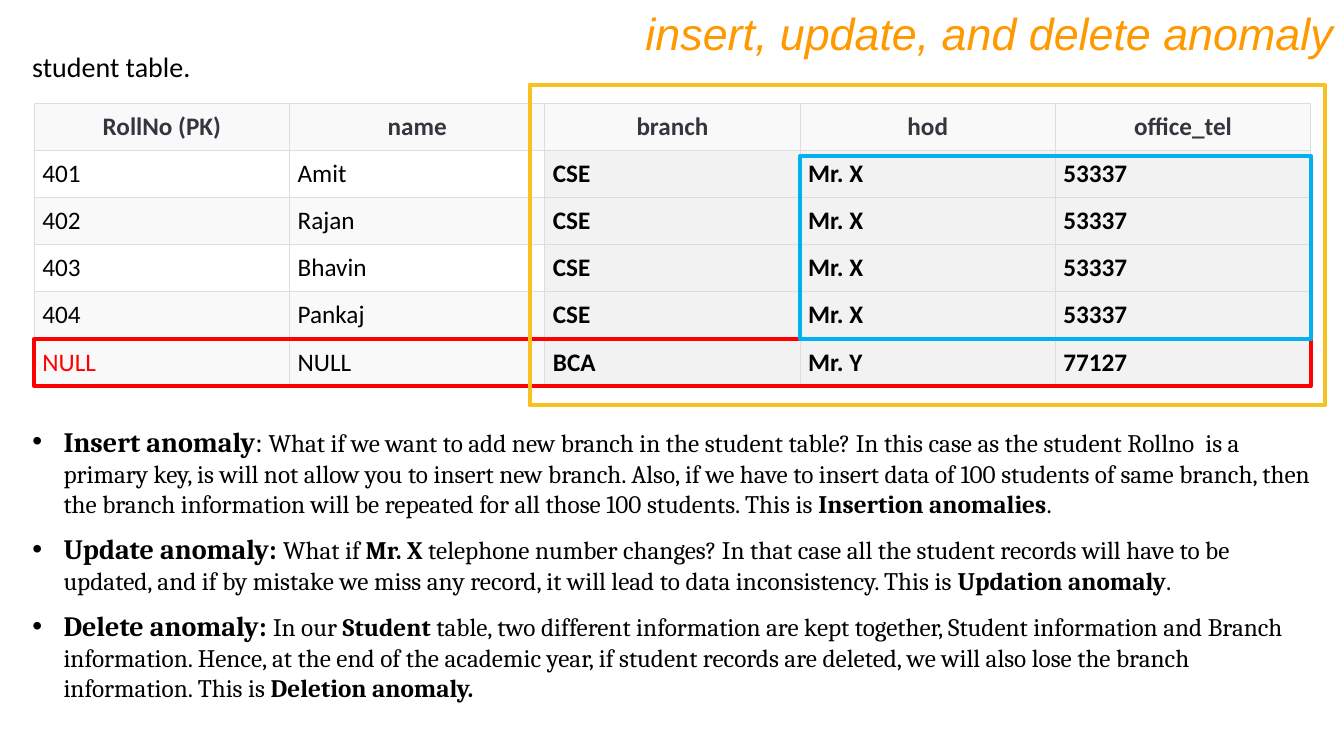
from pptx import Presentation
from pptx.dml.color import RGBColor
from pptx.enum.shapes import MSO_SHAPE as Shape
from pptx.enum.text import MSO_ANCHOR as Anchor, MSO_AUTO_SIZE as AutoSize, PP_ALIGN as Align
from pptx.oxml.ns import qn
from pptx.util import Inches, Pt
from lxml.etree import SubElement, Element

COLORS = {name: RGBColor.from_string(value) for name, value in {
    "title": "FF9900", "text": "000000", "header": "35353E", "paper": "FFFFFF",
    "band": "F9F9F9", "branch": "F2F2F2", "border": "DDDDDD",
    "null": "FF0000", "repeated": "00B0F0", "dependent": "F7C120"}.items()}


def set_font(font, name, size, color, bold=None):
    font.name = name
    if size:
        font.size = Pt(size)
    font.color.rgb = COLORS[color]
    font.bold = bold


def place(item, left, top, width, height):
    item.left, item.top = Inches(left), Inches(top)
    item.width, item.height = Inches(width), Inches(height)


deck = Presentation()
deck.slide_width, deck.slide_height = Inches(13.33), Inches(7.5)
slide = deck.slides.add_slide(deck.slide_layouts[1])

# Title
title = slide.shapes.title
place(title, 0, 0, 13.33, 0.64)
title.text_frame.text = "insert, update, and delete anomaly"
title.text_frame.auto_size = AutoSize.NONE
heading = title.text_frame.paragraphs[0]
heading.alignment = Align.RIGHT
set_font(heading.font, "Arial", 32, "title")
heading.font.italic = True

# Anomaly list: each item is a row of (text, size, bold)
anomalies = [
    [("Insert anomaly", 20, True), (": ", 20, False),
     ("What if we want to add new branch in the student table? In this case as the student "
      "Rollno  is a primary key, is will not allow you to insert new branch. Also, if we have "
      "to insert data of 100 students of same branch, then the branch information will be "
      "repeated for all those 100 students. This is ", 18, False),
     ("Insertion anomalies", 18, True), (".", 18, False)],
    [("Update anomaly: ", 20, True), ("What if ", 18, False), ("Mr. X ", 18, True),
     ("telephone number changes? In that case all the student records will have to be updated, "
      "and if by mistake we miss any record, it will lead to data inconsistency. This is ",
      18, False),
     ("Updation anomaly", 18, True), (".", 18, False)],
    [("Delete anomaly: ", 20, True), ("In our ", 18, False), ("Student", 18, True),
     (" table, two different information are kept together, Student information and Branch "
      "information. Hence, at the end of the academic year, if student records are deleted, "
      "we will also lose the branch information. This is ", 18, False),
     ("Deletion anomaly.", 18, True)],
]
explanation = slide.placeholders[1]
place(explanation, 0.22, 4.16, 12.89, 2.89)
explanation.fill.solid()
explanation.fill.fore_color.rgb = COLORS["paper"]
frame = explanation.text_frame
frame.auto_size = AutoSize.NONE
frame.vertical_anchor = Anchor.TOP
for index, anomaly in enumerate(anomalies):
    item = frame.add_paragraph() if index else frame.paragraphs[0]
    item.space_before = Pt(9.4 if index else 0)
    properties = item._p.get_or_add_pPr()
    properties.set("marL", str(Inches(0.31)))
    properties.set("indent", str(-Inches(0.31)))
    SubElement(properties, qn("a:buFont"), typeface="Arial")
    SubElement(properties, qn("a:buChar"), char="•")
    set_font(item.font, "Cambria", None, "text")
    for text, size, bold in anomaly:
        run = item.add_run()
        run.text = text
        run.font.size, run.font.bold = Pt(size), bold

# Student table
students = [
    ("RollNo (PK)", "name", "branch", "hod", "office_tel"),
    ("401", "Amit", "CSE", "Mr. X", "53337"),
    ("402", "Rajan", "CSE", "Mr. X", "53337"),
    ("403", "Bhavin", "CSE", "Mr. X", "53337"),
    ("404", "Pankaj", "CSE", "Mr. X", "53337"),
    ("NULL", "NULL", "BCA", "Mr. Y", "77127"),
]
LEFT, TOP, WIDTH, HEIGHT = 0.34, 1.03, 12.66, 2.8
COLUMN, ROW = WIDTH / 5, HEIGHT / 6
RIGHT, BOTTOM = LEFT + WIDTH, TOP + HEIGHT
table = slide.shapes.add_table(6, 5, Inches(LEFT), Inches(TOP),
                               Inches(WIDTH), Inches(HEIGHT)).table
for r, student in enumerate(students):
    for c, value in enumerate(student):
        cell = table.cell(r, c)
        cell.margin_left = cell.margin_right = Inches(0.08)
        cell.margin_top = cell.margin_bottom = Inches(0.08)
        header, branch_data = r == 0, c >= 2
        if not header and not branch_data and r in (1, 3):
            cell.fill.background()
        else:
            cell.fill.solid()
            shade = "branch" if branch_data and not header else "band"
            cell.fill.fore_color.rgb = COLORS[shade]
        cell.text = value
        entry = cell.text_frame.paragraphs[0]
        entry.alignment = Align.CENTER if header else Align.LEFT
        color = "header" if header else "null" if (r, c) == (5, 0) else "text"
        set_font(entry.font, "Calibri", 18, color, header or branch_data)
        for position, side in enumerate(("lnL", "lnR", "lnT", "lnB")):
            border = Element(qn(f"a:{side}"), w=str(Pt(0.75)))
            paint = SubElement(border, qn("a:solidFill"))
            SubElement(paint, qn("a:srgbClr"), val=str(COLORS["border"]))
            cell._tc.get_or_add_tcPr().insert(position, border)

# Frames around the NULL row, the repeated values and the branch columns
last_row = BOTTOM - ROW
hod_column, branch_column = LEFT + 3 * COLUMN, LEFT + 2 * COLUMN
frames = [
    ("null", LEFT, last_row, RIGHT, BOTTOM),
    ("repeated", hod_column, TOP + ROW + 0.05, RIGHT, last_row),
    ("dependent", branch_column - 0.15, TOP - 0.19, RIGHT + 0.14, BOTTOM + 0.19),
]
for color, left, top, right, bottom in frames:
    highlight = slide.shapes.add_shape(Shape.RECTANGLE, Inches(left), Inches(top),
                                       Inches(right - left), Inches(bottom - top))
    highlight.shadow.inherit = False
    highlight.fill.background()
    highlight.line.color.rgb = COLORS[color]
    highlight.line.width = Pt(3)

# Table caption
caption = slide.shapes.add_textbox(Inches(0.22), Inches(0.44), Inches(3.21), Inches(0.44))
caption.text_frame.word_wrap = True
caption.text_frame.text = "student table."
set_font(caption.text_frame.paragraphs[0].font, "Calibri", 20, "text")

deck.save("out.pptx")
